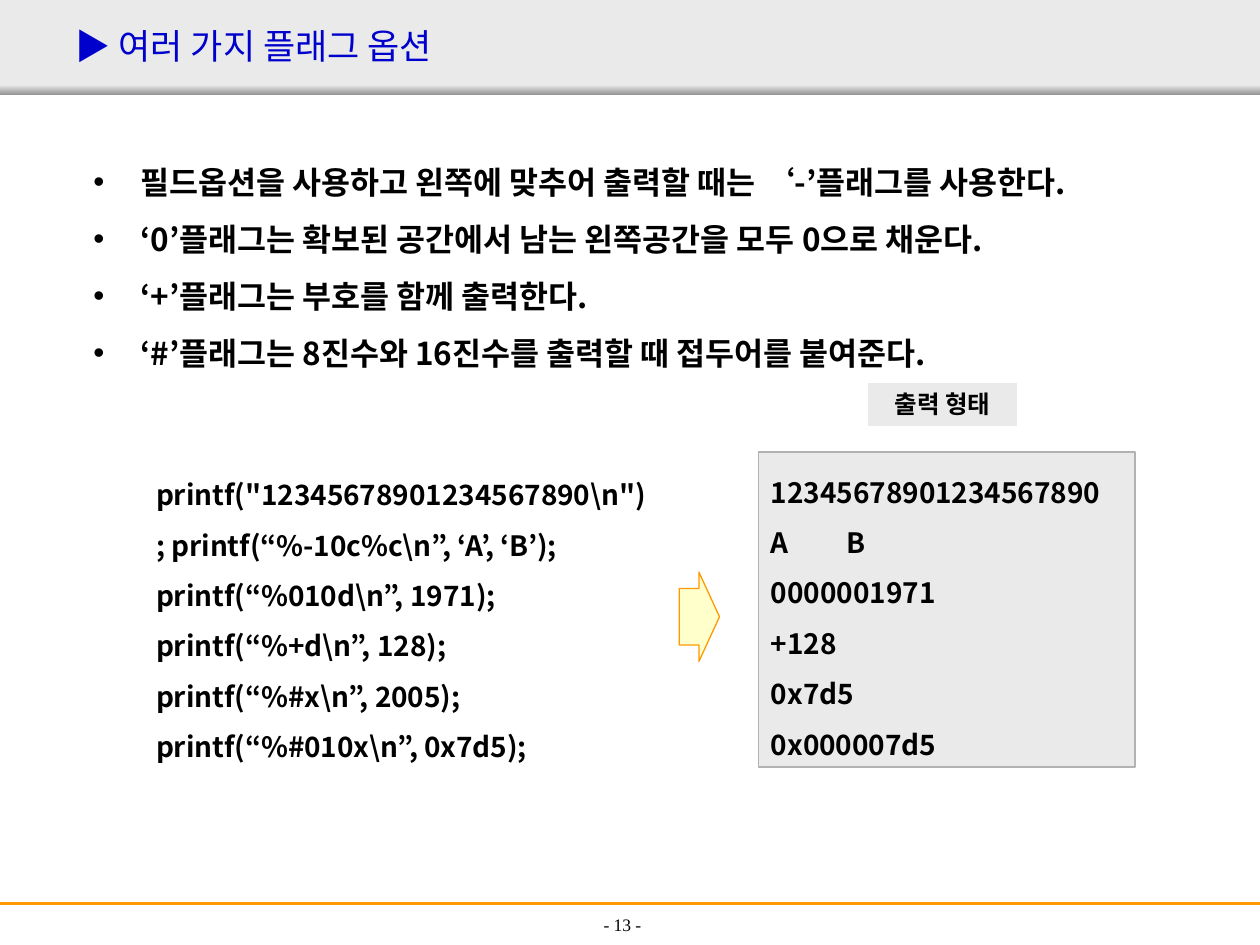
from dataclasses import dataclass
from typing import Optional

from lxml.etree import SubElement
from pptx import Presentation
from pptx.dml.color import RGBColor
from pptx.enum.shapes import MSO_CONNECTOR, MSO_SHAPE
from pptx.enum.text import MSO_ANCHOR, MSO_AUTO_SIZE, PP_ALIGN
from pptx.oxml.ns import qn
from pptx.util import Inches, Pt

KOREAN_FONT = "Noto Sans CJK KR"
NUMBER_FONT = "Times New Roman"
BLACK = "000000"
PANEL_GRAY = "EAEAEA"
ORANGE = "FF9900"


@dataclass
class Area:
    left: float
    top: float
    width: float
    height: float

    def lengths(self) -> tuple:
        return tuple(Inches(n) for n in (self.left, self.top, self.width, self.height))


@dataclass
class TextStyle:
    size: float
    bold: bool = True
    color: str = BLACK
    font: str = KOREAN_FONT
    align: PP_ALIGN = PP_ALIGN.LEFT
    anchor: MSO_ANCHOR = MSO_ANCHOR.TOP
    fit: MSO_AUTO_SIZE = MSO_AUTO_SIZE.NONE
    line_spacing: Optional[float] = None
    space_before: float = 0


@dataclass
class Panel:
    area: Area
    fill: str
    line: Optional[str] = None
    line_width: float = 1
    kind: MSO_SHAPE = MSO_SHAPE.RECTANGLE


def rgb(color: str) -> RGBColor:
    return RGBColor.from_string(color)


def place(shape, area: Area) -> None:
    shape.left, shape.top, shape.width, shape.height = area.lengths()


def add_tab_stop(para, position: float) -> None:
    stops = SubElement(para._p.get_or_add_pPr(), qn("a:tabLst"))
    SubElement(stops, qn("a:tab"), pos=str(Inches(position)), algn="l")


def write(shape, lines: list[str], style: TextStyle) -> None:
    frame = shape.text_frame
    frame.word_wrap = True
    frame.auto_size = style.fit
    frame.vertical_anchor = style.anchor
    for index, line in enumerate(lines):
        para = frame.add_paragraph() if index else frame.paragraphs[0]
        para.alignment = style.align
        para.space_before = Pt(style.space_before)
        if style.line_spacing:
            para.line_spacing = style.line_spacing
        if "\t" in line:
            add_tab_stop(para, 0.6)
        span = para.add_run()
        span.text = line
        span.font.size = Pt(style.size)
        span.font.bold = style.bold
        span.font.name = style.font
        span.font.color.rgb = rgb(style.color)
        SubElement(span._r.get_or_add_rPr(), qn("a:ea"), typeface=style.font)


def add_panel(page, panel: Panel):
    shape = page.shapes.add_shape(panel.kind, *panel.area.lengths())
    shape.shadow.inherit = False
    shape.fill.solid()
    shape.fill.fore_color.rgb = rgb(panel.fill)
    if panel.line:
        shape.line.color.rgb = rgb(panel.line)
        shape.line.width = Pt(panel.line_width)
    else:
        shape.line.fill.background()
    return shape


def add_text(page, area: Area, lines: list[str], style: TextStyle) -> None:
    write(page.shapes.add_textbox(*area.lengths()), lines, style)


def add_header(page) -> None:
    add_panel(page, Panel(Area(0, 0, 10, 0.75), "ECECEC"))
    edge = add_panel(page, Panel(Area(0, 0.67, 10, 0.08), "ECECEC"))
    edge.fill.gradient()
    edge.fill.gradient_angle = 270
    for stop, color in zip(edge.fill.gradient_stops, ("ECECEC", "979797")):
        stop.color.rgb = rgb(color)
    add_panel(page, Panel(Area(0, 0, 10, 0.68), PANEL_GRAY))

    title = page.shapes.title
    page.shapes._spTree.append(title._element)
    place(title, Area(0.5, 0.13, 7.1, 0.47))
    write(title, ["▶ 여러 가지 플래그 옵션"],
          TextStyle(20, bold=False, color="0000CC", anchor=MSO_ANCHOR.MIDDLE))


def add_footer(page) -> None:
    rule = page.shapes.add_connector(
        MSO_CONNECTOR.STRAIGHT, Inches(0), Inches(7.17), Inches(10), Inches(7.17))
    rule.line.color.rgb = rgb(ORANGE)
    rule.line.width = Pt(1.5)
    SubElement(rule._element.spPr, qn("a:effectLst"))
    add_text(page, Area(3.41, 7.25, 3.06, 0.17), ["- 13 -"],
             TextStyle(10, bold=False, font=NUMBER_FONT, align=PP_ALIGN.CENTER,
                       anchor=MSO_ANCHOR.MIDDLE))
    for left, width in ((0, 1.26), (8.54, 1.46)):
        add_panel(page, Panel(Area(left, 7.22, width, 0.28), "FFFFFF"))


def add_flag_list(page) -> None:
    body = page.placeholders[1]
    place(body, Area(0.64, 1.15, 8.77, 1.97))
    write(body, [
        "필드옵션을 사용하고 왼쪽에 맞추어 출력할 때는 ‘-’플래그를 사용한다.",
        "‘0’플래그는 확보된 공간에서 남는 왼쪽공간을 모두 0으로 채운다.",
        "‘+’플래그는 부호를 함께 출력한다.",
        "‘#’플래그는 8진수와 16진수를 출력할 때 접두어를 붙여준다.",
    ], TextStyle(18, line_spacing=1.3, space_before=4.5))


def add_example(page) -> None:
    code_style = TextStyle(16, line_spacing=1.5, fit=MSO_AUTO_SIZE.SHAPE_TO_FIT_TEXT)
    add_text(page, Area(1.14, 3.61, 4.1, 2.5), [
        'printf("12345678901234567890\\n"); printf(“%-10c%c\\n”, ‘A’, ‘B’);',
        "printf(“%010d\\n”, 1971);",
        "printf(“%+d\\n”, 128);",
        "printf(“%#x\\n”, 2005);",
        "printf(“%#010x\\n”, 0x7d5);",
    ], code_style)

    output = add_panel(page, Panel(Area(6.02, 3.59, 2.99, 2.5), PANEL_GRAY, "B2B2B2"))
    write(output, ["12345678901234567890", "A\tB", "0000001971", "+128", "0x7d5",
                   "0x000007d5"], code_style)

    arrow = add_panel(page, Panel(Area(5.39, 4.54, 0.32, 0.71), "FFFFCC", ORANGE, 0.75,
                                  MSO_SHAPE.RIGHT_ARROW))
    arrow.adjustments[0] = 0.63
    arrow.adjustments[1] = 0.51

    label = add_panel(page, Panel(Area(6.89, 3.04, 1.18, 0.34), PANEL_GRAY))
    write(label, ["출력 형태"], TextStyle(14, align=PP_ALIGN.CENTER,
                                      fit=MSO_AUTO_SIZE.SHAPE_TO_FIT_TEXT))


def main() -> None:
    deck = Presentation()
    deck.slide_width = Inches(10)
    deck.slide_height = Inches(7.5)
    page = deck.slides.add_slide(deck.slide_layouts[1])
    add_header(page)
    add_footer(page)
    add_flag_list(page)
    add_example(page)
    deck.save("out.pptx")


if __name__ == "__main__":
    main()
